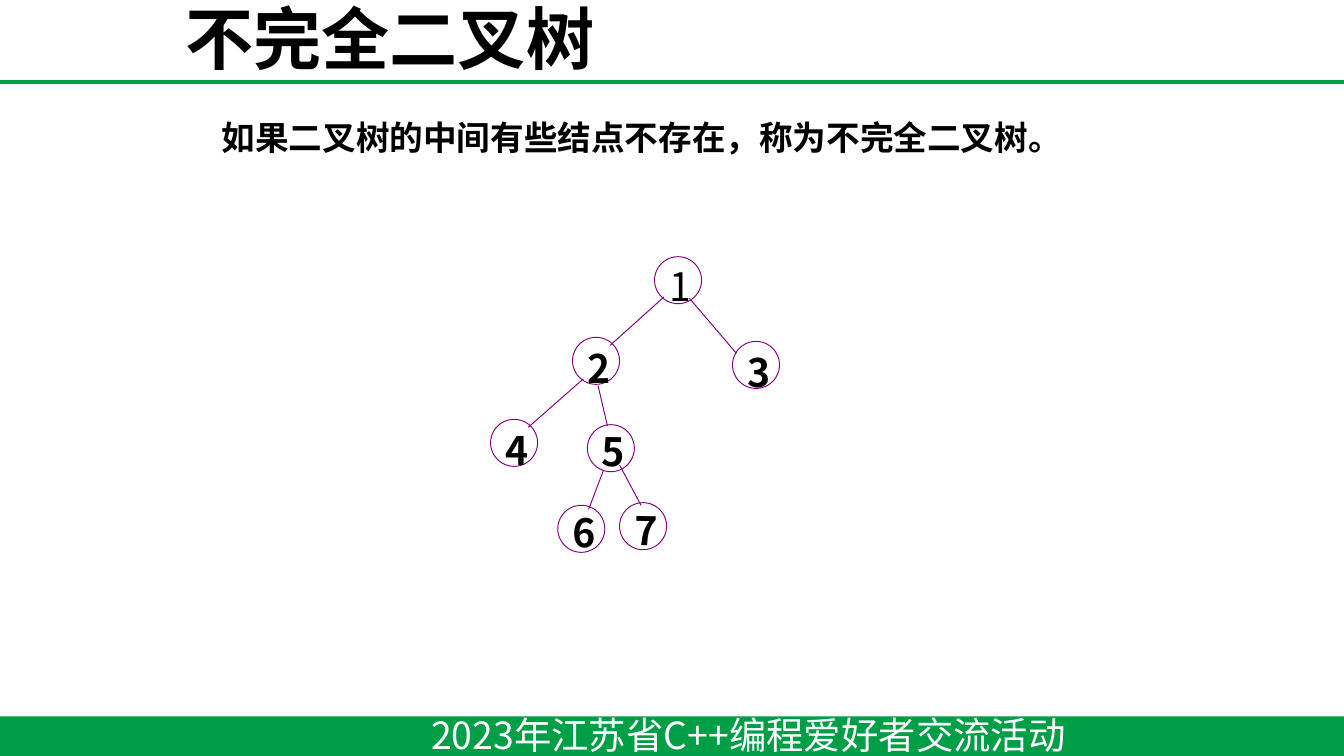
from lxml.etree import SubElement
from pptx import Presentation
from pptx.dml.color import RGBColor
from pptx.enum.shapes import MSO_CONNECTOR, MSO_SHAPE
from pptx.enum.text import MSO_ANCHOR, PP_ALIGN
from pptx.oxml.ns import qn
from pptx.util import Inches, Pt

# Content
TITLE = "不完全二叉树"
DEFINITION = "如果二叉树的中间有些结点不存在，称为不完全二叉树。"
FOOTER = "2023年江苏省C++编程爱好者交流活动"

# Tree nodes: label, left, top, label drop, label rotation, bold
NODES = [
    ("1", 4.87, 1.91, 0.04, 0, False),
    ("2", 4.26, 2.51, 0.05, 0, True),
    ("3", 5.45, 2.54, 0.05, 0, True),
    ("4", 3.65, 3.12, 0.05, 0, True),
    ("5", 4.37, 3.16, 0.02, 1, True),
    ("6", 4.15, 3.76, 0.02, 1, True),
    ("7", 4.61, 3.74, 0.03, 1, True),
]
# Tree edges: parent end, child end
EDGES = [
    ((4.94, 2.21), (4.54, 2.57)),
    ((5.13, 2.22), (5.48, 2.63)),
    ((4.34, 2.82), (3.93, 3.18)),
    ((4.45, 2.87), (4.52, 3.17)),
    ((4.49, 3.50), (4.38, 3.79)),
    ((4.61, 3.46), (4.77, 3.76)),
]

COLORS = {"green": "009E47", "purple": "800080", "black": "000000", "white": "FFFFFF"}
FONT = "Noto Sans CJK SC"
SLIDE_WIDTH = 10
NODE_SIZE = 0.35
LABEL_SHIFT = 0.11
LABEL_WIDTH = 0.18

# Widescreen 16:9 slide
presentation = Presentation()
presentation.slide_width = Inches(SLIDE_WIDTH)
presentation.slide_height = Inches(SLIDE_WIDTH * 9 / 16)
slide = presentation.slides.add_slide(presentation.slide_layouts[6])


def color(name):
    return RGBColor.from_string(COLORS[name])


def add_line(start, end, line_color, width):
    line = slide.shapes.add_connector(
        MSO_CONNECTOR.STRAIGHT, *(Inches(value) for value in (*start, *end)))
    line.line.color.rgb = color(line_color)
    line.line.width = Pt(width)
    SubElement(line._element.spPr, qn("a:effectLst"))


def add_shape(kind, box):
    shape = slide.shapes.add_shape(kind, *(Inches(value) for value in box))
    shape.shadow.inherit = False
    return shape


def add_text(text, box, size, text_color="black", bold=False, insets=(0.1, 0.05), wrap=True):
    text_box = slide.shapes.add_textbox(*(Inches(value) for value in box))
    frame = text_box.text_frame
    frame.text = text
    frame.word_wrap = wrap
    frame.margin_left = frame.margin_right = Inches(insets[0])
    frame.margin_top = frame.margin_bottom = Inches(insets[1])
    run = frame.paragraphs[0].runs[0]
    run.font.name = FONT
    run.font.size = Pt(size)
    run.font.bold = bold
    run.font.color.rgb = color(text_color)
    SubElement(run._r.get_or_add_rPr(), qn("a:ea"), typeface=FONT)
    return text_box


# Header rule and footer band
add_line((0, 0.61), (SLIDE_WIDTH, 0.61), "green", 1.75)
band = add_shape(MSO_SHAPE.RECTANGLE, (0, 5.33, SLIDE_WIDTH, 0.31))
band.fill.solid()
band.fill.fore_color.rgb = color("green")
band.line.fill.background()
add_text(FOOTER, (3.11, 5.25, 6.86, 0.44), 20, "white")

# Title
title = add_text(TITLE, (-0.2, 0.07, 6.2, 0.56), 36.5, bold=True)
title.text_frame.vertical_anchor = MSO_ANCHOR.BOTTOM
title.text_frame.paragraphs[0].alignment = PP_ALIGN.CENTER

# Definition
definition = add_text(DEFINITION, (1.61, 0.76, 7.39, 0.85), 18, bold=True, insets=(0.04, 0.05))
paragraph = definition.text_frame.paragraphs[0]
paragraph.line_spacing = 1.2
paragraph.space_before = Pt(3.6)

# Tree
for label, left, top, drop, rotation, bold in NODES:
    circle = add_shape(MSO_SHAPE.OVAL, (left, top, NODE_SIZE, NODE_SIZE))
    circle.fill.background()
    circle.line.color.rgb = color("purple")
    circle.line.width = Pt(0.5)
    label_box = (left + LABEL_SHIFT, top + drop, LABEL_WIDTH, NODE_SIZE)
    number = add_text(label, label_box, 21, bold=bold, insets=(0, 0), wrap=False)
    number.rotation = rotation

for parent_end, child_end in EDGES:
    add_line(parent_end, child_end, "purple", 0.5)

presentation.save("out.pptx")
